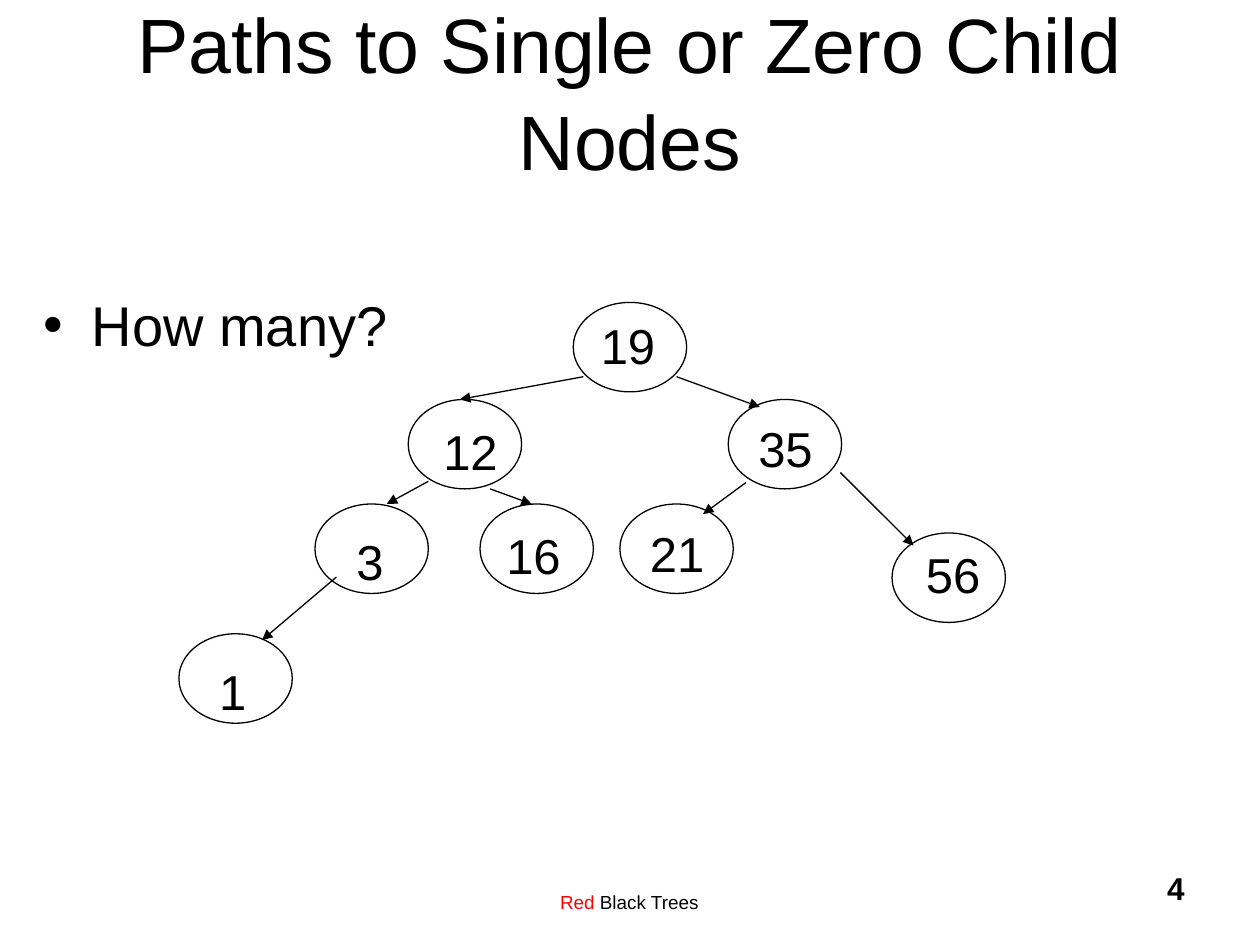
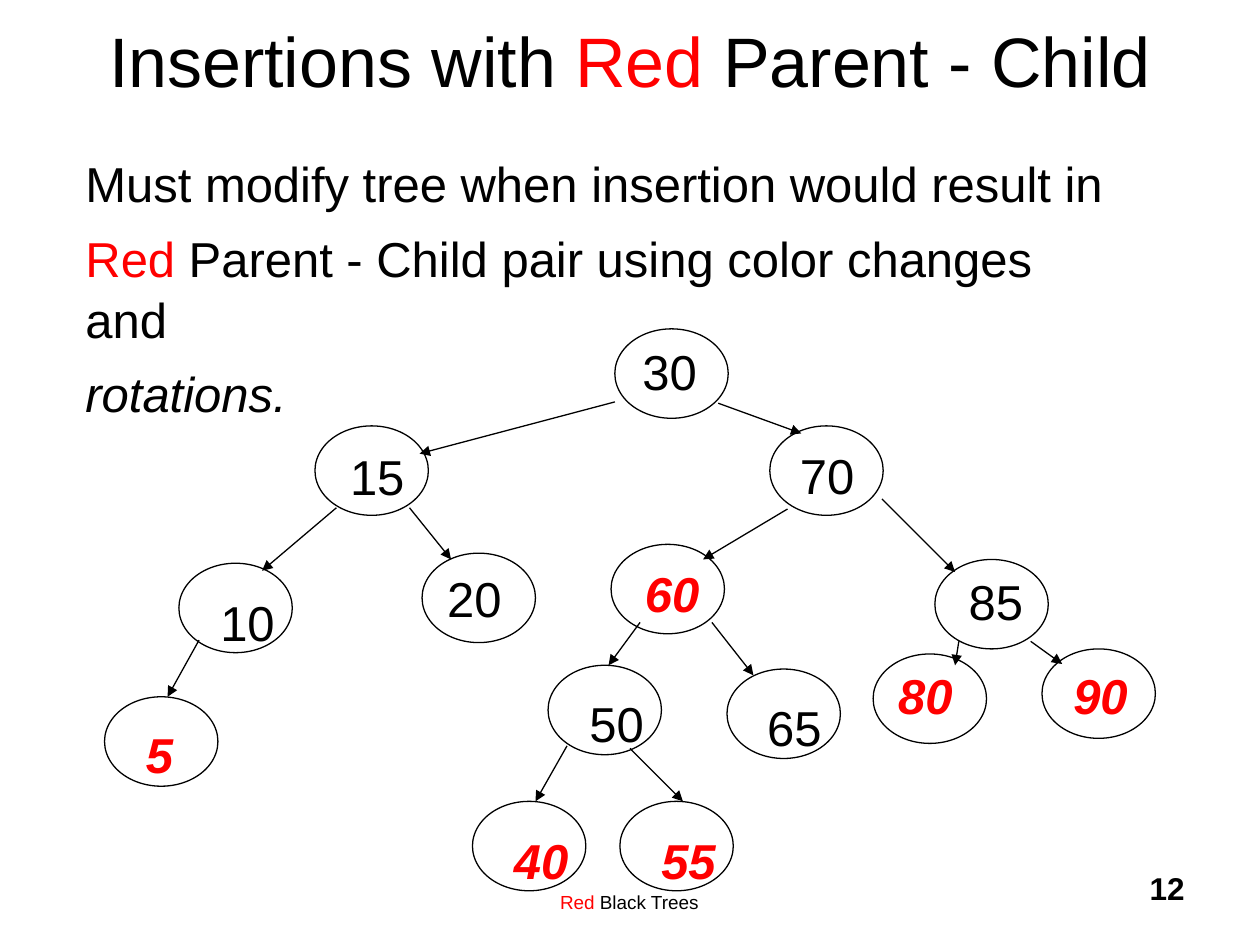
from lxml import etree
from pptx import Presentation
from pptx.dml.color import RGBColor
from pptx.enum.shapes import MSO_CONNECTOR as Conn, MSO_SHAPE as Shape
from pptx.enum.text import MSO_ANCHOR as Anchor, PP_ALIGN as Align
from pptx.oxml.ns import qn
from pptx.util import Inches, Pt

BLACK, RED = "000000", "FF0000"
FONT = "Arial"
NODE_W, NODE_H = 0.9, 0.71
LABEL_H = 0.57
RED_RUN = {"color": RED}
RED_NODE = {"color": RED, "bold": True, "italic": True}

# Nodes: value, oval left and top, label left and top
SEARCH_NODES = [
    ("19", 4.55, 2.4, 4.67, 2.43),
    ("12", 3.24, 3.17, 3.42, 3.27),
    ("35", 5.78, 3.17, 5.92, 3.25),
    ("3", 2.5, 4, 2.73, 4.15),
    ("16", 3.81, 4, 3.92, 4.1),
    ("56", 7.08, 4.23, 7.25, 4.25),
    ("21", 4.92, 4, 5.06, 4.08),
    ("1", 1.42, 5.03, 1.64, 5.18),
]
# Edges: start x and y, end x and y
SEARCH_EDGES = [
    (4.63, 2.99, 3.65, 3.17), (5.37, 2.99, 6.03, 3.23),
    (3.4, 3.82, 3.07, 4), (3.89, 3.88, 4.22, 4),
    (6.67, 3.75, 7.25, 4.33), (5.92, 3.83, 5.58, 4.08),
    (2.67, 4.58, 2.08, 5.08),
]

RED_BLACK_NODES = [
    ("30", 4.88, 2.61, 5, 2.64),
    ("15", 2.5, 3.38, 2.68, 3.47),
    ("70", 6.11, 3.38, 6.25, 3.46),
    ("85", 7.42, 4.44, 7.59, 4.46),
    ("80", 6.93, 5.19, 7.03, 5.21),
    ("90", 8.27, 5.15, 8.42, 5.21),
    ("60", 4.85, 4.32, 5.02, 4.4),
    ("10", 1.42, 4.47, 1.65, 4.63),
    ("20", 3.35, 4.39, 3.45, 4.44),
    ("50", 4.35, 5.28, 4.58, 5.43),
    ("65", 5.77, 5.31, 5.99, 5.46),
    ("5", 0.83, 5.53, 1.06, 5.68),
    ("40", 3.75, 6.36, 3.98, 6.52),
    ("55", 4.92, 6.36, 5.15, 6.52),
]
RED_BLACK_EDGES = [
    (4.88, 3.19, 3.33, 3.6), (5.7, 3.2, 6.36, 3.44),
    (7, 3.96, 7.58, 4.54), (7.61, 5.09, 7.58, 5.28),
    (8.18, 5.09, 8.43, 5.27), (6.25, 4.04, 5.58, 4.44),
    (2.67, 4.03, 2.08, 4.53), (3.25, 4.03, 3.58, 4.44),
    (5.08, 4.94, 4.83, 5.28), (5.65, 4.94, 5.98, 5.36),
    (1.58, 5.08, 1.33, 5.53), (4.5, 5.92, 4.25, 6.36),
    (5, 5.94, 5.42, 6.36),
]
RED_VALUES = {"5", "40", "55", "60", "80", "90"}


def rgb(value):
    return RGBColor.from_string(value)


def add_text(s, paragraphs, left, top, width, height, size, align=Align.LEFT,
             anchor=Anchor.TOP, wrap=True, inset_top=0.05, before=0, **fmt):
    """Add a text box; each paragraph is a list of (text, run format) pairs."""
    box = s.shapes.add_textbox(*map(Inches, (left, top, width, height)))
    tf = box.text_frame
    tf.word_wrap = wrap
    tf.vertical_anchor = anchor
    tf.margin_top = Inches(inset_top)
    for i, runs in enumerate(paragraphs):
        p = tf.add_paragraph() if i else tf.paragraphs[0]
        p.alignment = align
        p.line_spacing = 1.05
        p.space_before = Pt(before if i else 0)
        for text, run_fmt in runs:
            style = {**fmt, **run_fmt}
            r = p.add_run()
            r.text = text
            r.font.name = FONT
            r.font.size = Pt(size)
            r.font.bold = style.get("bold", False)
            r.font.italic = style.get("italic", False)
            r.font.color.rgb = rgb(style.get("color", BLACK))
    return tf


def add_bullet(p, indent):
    pPr = p._p.get_or_add_pPr()
    pPr.set("marL", str(Inches(indent)))
    pPr.set("indent", str(-Inches(indent)))
    etree.SubElement(pPr, qn("a:buFont"), typeface=FONT)
    etree.SubElement(pPr, qn("a:buChar"), char="•")


def add_node(s, value, left, top, label_left, label_top):
    oval = s.shapes.add_shape(
        Shape.OVAL, *map(Inches, (left, top, NODE_W, NODE_H)))
    oval.shadow.inherit = False
    oval.fill.background()
    oval.line.color.rgb = rgb(BLACK)
    oval.line.width = Pt(0.75)
    label_w = 0.63 if len(value) == 2 else 0.41
    fmt = RED_NODE if value in RED_VALUES else {}
    add_text(s, [[(value, fmt)]], label_left, label_top, label_w, LABEL_H, 28,
             wrap=False)


def add_edge(s, *ends):
    edge = s.shapes.add_connector(Conn.STRAIGHT, *map(Inches, ends))
    edge.line.color.rgb = rgb(BLACK)
    edge.line.width = Pt(0.75)
    ln = edge.line._get_or_add_ln()
    etree.SubElement(ln, qn("a:tailEnd"), type="triangle")
    etree.SubElement(edge._element.spPr, qn("a:effectLst"))


def add_tree(s, nodes, edges):
    for node in nodes:
        add_node(s, *node)
    for edge in edges:
        add_edge(s, *edge)


def add_slide(prs, number, title, title_top, title_size):
    """Add a blank slide with the shared footer, page number and title."""
    s = prs.slides.add_slide(prs.slide_layouts[6])
    add_text(s, [[("Red", RED_RUN), (" Black Trees", {})]],
             3.08, 6.83, 3.83, 0.5, 10.8, align=Align.CENTER, inset_top=0.23)
    add_text(s, [[(str(number), {})]], 7.42, 6.83, 2.08, 0.5, 18,
             align=Align.RIGHT, bold=True)
    add_text(s, [title], 0.75, title_top, 8.5, 1.25, title_size,
             align=Align.CENTER, anchor=Anchor.MIDDLE)
    return s


def main():
    prs = Presentation()
    prs.slide_width, prs.slide_height = Inches(10), Inches(7.5)

    s = add_slide(prs, 4, [("Paths to Single or Zero Child Nodes", {})],
                  0.08, 44)
    tf = add_text(s, [[("How many?", {})]], 0.25, 0.92, 9.5, 6, 32,
                  inset_top=1.36)
    add_bullet(tf.paragraphs[0], 0.38)
    add_tree(s, SEARCH_NODES, SEARCH_EDGES)

    title = [("Insertions with ", {}), ("Red", RED_RUN),
             (" Parent - Child", {})]
    s = add_slide(prs, 12, title, -0.17, 40)
    add_tree(s, RED_BLACK_NODES, RED_BLACK_EDGES)
    add_text(s, [
        [("Must modify tree when insertion would result in", {})],
        [("Red", RED_RUN),
         (" Parent - Child pair using color changes and", {})],
        [("rotations.", {"italic": True})],
    ], 0.58, 1.15, 8.46, 1.7, 28, wrap=False, before=7)

    prs.save("out.pptx")


if __name__ == "__main__":
    main()
